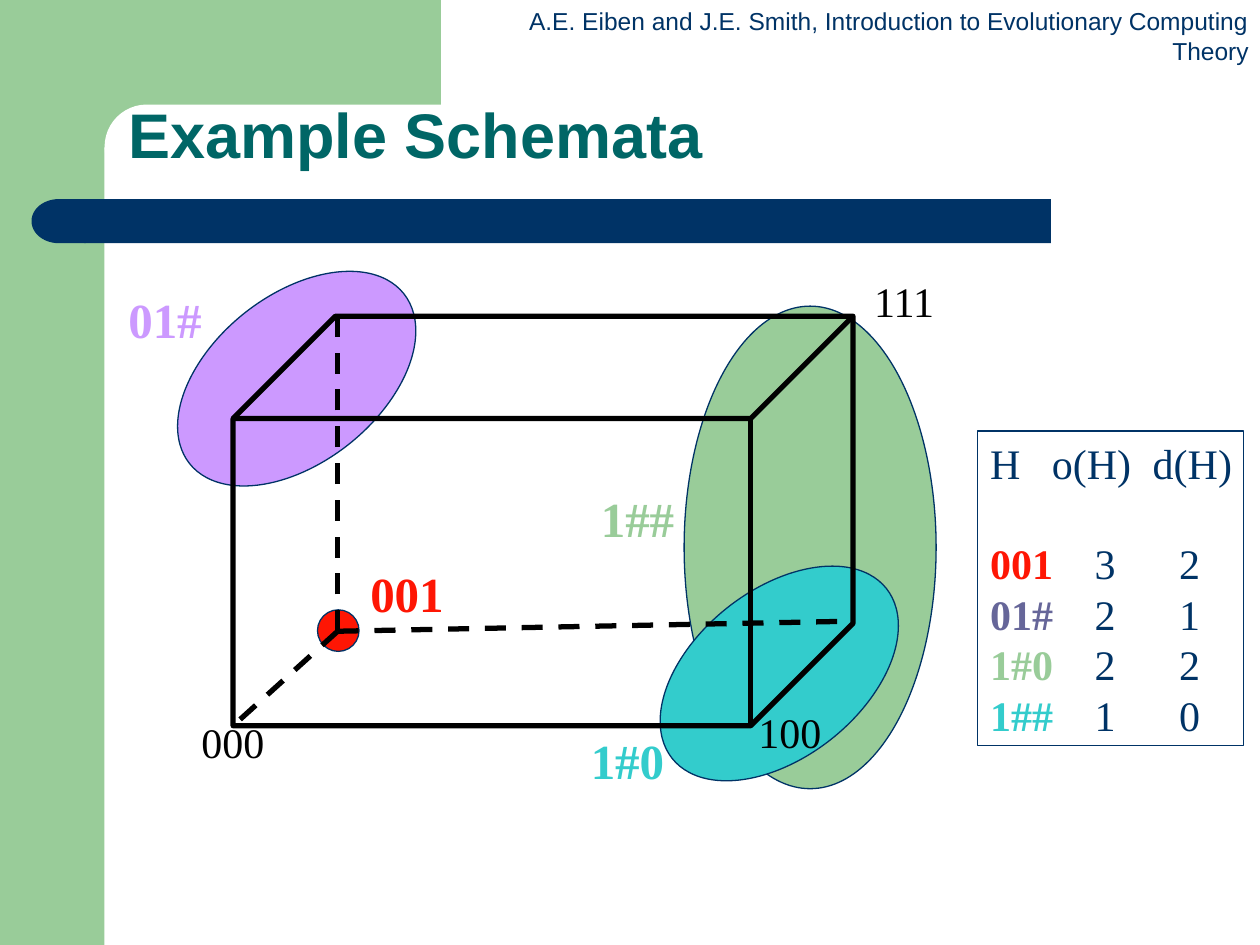
from lxml import etree
from pptx import Presentation
from pptx.dml.color import RGBColor
from pptx.enum.dml import MSO_LINE
from pptx.enum.shapes import MSO_CONNECTOR, MSO_SHAPE
from pptx.enum.text import MSO_ANCHOR, MSO_AUTO_SIZE, PP_ALIGN
from pptx.oxml.ns import qn
from pptx.util import Inches, Pt

RECT, ROUND = MSO_SHAPE.RECTANGLE, MSO_SHAPE.ROUNDED_RECTANGLE
OVAL, CUBE, DELAY = MSO_SHAPE.OVAL, MSO_SHAPE.CUBE, MSO_SHAPE.FLOWCHART_DELAY
LEFT, RIGHT = PP_ALIGN.LEFT, PP_ALIGN.RIGHT
SANS, SERIF = "Arial", "Times New Roman"
NAVY, TEAL, BLACK, WHITE = "003366", "006666", "000000", "FFFFFF"
GREEN, CYAN, RED, VIOLET, SLATE = "99CC99", "33CCCC", "FE1604", "CC99FF", "666699"

HEADER = ["A.E. Eiben and J.E. Smith, Introduction to Evolutionary Computing", "Theory"]
TITLE = "Example Schemata"

# shape, (left, top, width, height), fill, rotation
BACKDROP = [
    (RECT, (0, 0, 0.83, 7.5), GREEN, 0),
    (RECT, (0.75, 0, 2.75, 1.17), GREEN, 0),
    (ROUND, (0.83, 0.83, 5.58, 0.67), WHITE, 0),
    (RECT, (0.67, 1.58, 7.67, 0.35), NAVY, 0),
    (DELAY, (0.25, 1.58, 0.43, 0.35), NAVY, 180),
]
SCHEMATA = [
    (OVAL, (5.43, 2.43, 2, 3.83), GREEN, 0),
    (OVAL, (5.1, 4.68, 2.17, 1.33), CYAN, 321.6),
    (OVAL, (2.52, 4.84, 0.33, 0.33), RED, 0),
    (OVAL, (1.27, 2.34, 2.17, 1.33), VIOLET, 321.6),
]
CUBE_BOX = (1.85, 2.51, 4.92, 3.25)
HIDDEN_CORNER = (2.68, 5.01)
HIDDEN_EDGE_ENDS = [(2.68, 2.51), (1.85, 5.76), (6.77, 4.93)]

CORNERS = [("111", 6.84, 2.14), ("000", 1.5, 5.64), ("100", 5.92, 5.56)]
SCHEMA_LABELS = [
    ("1##", 4.67, 3.83, GREEN),
    ("01#", 0.92, 2.25, VIOLET),
    ("001", 2.84, 4.42, RED),
    ("1#0", 4.59, 5.75, CYAN),
]

MEASURES_BOX = (7.76, 3.42, 2.11, 2.5)
MEASURES_HEAD = ["H", "o(H)", "d(H)"]
MEASURES = [
    ("001", 3, 2, RED),
    ("01#", 2, 1, SLATE),
    ("1#0", 2, 2, GREEN),
    ("1##", 1, 0, CYAN),
]
HEAD_TABS, ROW_TABS = (0.49, 1.29), (0.83, 1.5)


def rgb(code):
    return RGBColor.from_string(code)


def inches(values):
    return [Inches(v) for v in values]


def add_shape(kind, box, fill=None, rotation=0, line=None, width=0.75):
    sp = slide.shapes.add_shape(kind, *inches(box))
    sp.shadow.inherit = False
    sp.rotation = rotation
    if fill:
        sp.fill.solid()
        sp.fill.fore_color.rgb = rgb(fill)
    else:
        sp.fill.background()
    if line:
        sp.line.color.rgb = rgb(line)
        sp.line.width = Pt(width)
    else:
        sp.line.fill.background()
    return sp


def add_run(p, text, size, color, font=SERIF, bold=False):
    r = p.add_run()
    r.text = text
    r.font.name, r.font.size, r.font.bold = font, Pt(size), bold
    r.font.color.rgb = rgb(color)


def add_text(box, lines, size, color, font=SERIF, bold=False, align=LEFT):
    tf = slide.shapes.add_textbox(*inches(box)).text_frame
    tf.word_wrap = False
    for i, line in enumerate(lines):
        p = tf.add_paragraph() if i else tf.paragraphs[0]
        p.alignment = align
        add_run(p, line, size, color, font, bold)


def add_dashed_edge(start, end):
    cn = slide.shapes.add_connector(MSO_CONNECTOR.STRAIGHT, *inches(start + end))
    cn.line.color.rgb = rgb(BLACK)
    cn.line.width = Pt(3)
    cn.line.dash_style = MSO_LINE.DASH
    etree.SubElement(cn._element.spPr, qn("a:effectLst"))


def set_tabs(p, stops):
    tabs = etree.SubElement(p._p.get_or_add_pPr(), qn("a:tabLst"))
    for stop in stops:
        etree.SubElement(tabs, qn("a:tab"), pos=str(Inches(stop)), algn="l")


def add_measures():
    """Box listing the order o(H) and defining length d(H) of each schema."""
    tf = add_shape(RECT, MEASURES_BOX, line=NAVY).text_frame
    tf.word_wrap = False
    tf.vertical_anchor = MSO_ANCHOR.TOP
    p = tf.paragraphs[0]
    p.alignment = LEFT
    p.space_after = Pt(28.8)
    set_tabs(p, HEAD_TABS)
    add_run(p, "\t".join(MEASURES_HEAD), 24, NAVY)
    for schema, order, length, color in MEASURES:
        p = tf.add_paragraph()
        p.alignment = LEFT
        set_tabs(p, ROW_TABS)
        add_run(p, schema, 24, color, bold=True)
        add_run(p, f"\t{order}\t{length}", 24, NAVY)


prs = Presentation()
prs.slide_width, prs.slide_height = Inches(10), Inches(7.5)
slide = prs.slides.add_slide(prs.slide_layouts[5])

for kind, box, fill, rotation in BACKDROP:
    sp = add_shape(kind, box, fill, rotation)
    if kind == ROUND:
        sp.adjustments[0] = 0.5
add_text((4.1, 0, 5.91, 0.57), HEADER, 14, NAVY, SANS, align=RIGHT)

title = slide.shapes.title
title.left, title.top, title.width, title.height = inches((0.92, 0.92, 8.75, 0.5))
slide.shapes._spTree.append(title._element)  # bring in front of the backdrop
tf = title.text_frame
tf.auto_size = MSO_AUTO_SIZE.NONE
tf.vertical_anchor = MSO_ANCHOR.BOTTOM
p = tf.paragraphs[0]
p.alignment, p.line_spacing = LEFT, 0.9
add_run(p, TITLE, 36, TEAL, SANS, True)

for kind, box, fill, rotation in SCHEMATA:
    add_shape(kind, box, fill, rotation, NAVY)
add_shape(CUBE, CUBE_BOX, line=BLACK, width=3)
for end in HIDDEN_EDGE_ENDS:
    add_dashed_edge(HIDDEN_CORNER, end)

for text, x, y in CORNERS:
    add_text((x, y, 0.7, 0.5), [text], 24, BLACK)
for text, x, y, color in SCHEMA_LABELS:
    add_text((x, y, 0.78, 0.57), [text], 28, color, bold=True)
add_measures()

prs.save("out.pptx")
